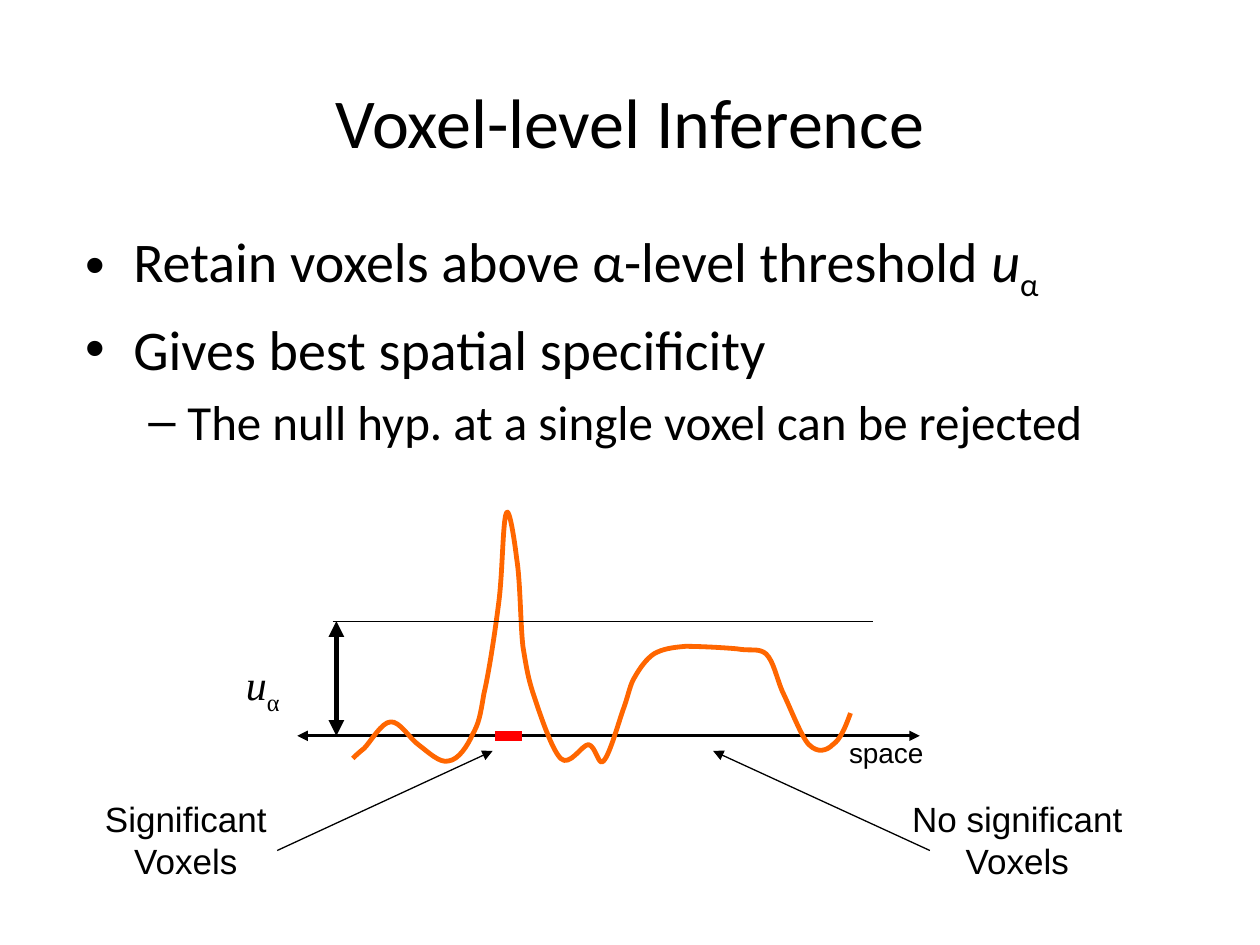
import pptx
import pptx.util
from pptx.dml.color import RGBColor
from pptx.enum.shapes import MSO_CONNECTOR
from pptx.enum.text import MSO_ANCHOR, PP_ALIGN
from pptx.oxml.ns import qn
from lxml import etree

SLIDE_WIDTH = pptx.util.Inches(10)
SLIDE_HEIGHT = pptx.util.Inches(7.5)
COLUMNS, ROWS = 100, 75

BLACK = RGBColor(0, 0, 0)
RED = RGBColor(0xFF, 0, 0)
ORANGE = RGBColor(0xFF, 0x66, 0)

AXIS_ROW = 58.4
THRESHOLD_ROW = 49.3

# Bezier chain: a start, then two handles and an end for each segment.
SIGNAL = [
    (28, 60.2),
    (28.2, 60), (28.4, 59.8), (28.9, 59.4),
    (29.4, 58.9), (30.3, 57.3), (31, 57.3),
    (31.7, 57.2), (32.5, 58.6), (33.2, 59.1),
    (34, 59.7), (34.9, 60.6), (35.6, 60.4),
    (36.4, 60.3), (37.1, 59.2), (37.5, 58.3),
    (38, 57.4), (38.1, 56.9), (38.4, 55.1),
    (38.8, 53.4), (39.3, 50.1), (39.6, 47.7),
    (39.9, 45.3), (39.9, 41.3), (40.2, 40.7),
    (40.4, 40.2), (40.8, 42.6), (41, 44.3),
    (41.3, 46.1), (41.3, 49.5), (41.5, 51.3),
    (41.8, 53.1), (41.9, 53.8), (42.4, 55.3),
    (42.9, 56.8), (43.8, 59.5), (44.5, 60.2),
    (45.2, 60.9), (46.2, 59.1), (46.7, 59.1),
    (47.3, 59.2), (47.5, 60.9), (47.9, 60.4),
    (48.4, 59.9), (49.1, 57.3), (49.5, 56.2),
    (49.9, 55.1), (50, 54.3), (50.4, 53.7),
    (50.8, 53), (51.3, 52.3), (51.9, 51.9),
    (52.6, 51.5), (53.3, 51.4), (54.4, 51.3),
    (55.5, 51.3), (57.4, 51.4), (58.5, 51.5),
    (59.6, 51.7), (60.2, 51.4), (60.8, 51.9),
    (61.4, 52.5), (61.6, 53.7), (62.1, 54.9),
    (62.7, 56.1), (63.6, 58.5), (64.2, 59.1),
    (64.9, 59.8), (65.6, 59.6), (66.1, 59.1),
    (66.7, 58.7), (67.1, 57.7), (67.5, 56.6),
]


def column(count):
    return round(SLIDE_WIDTH * count / COLUMNS)


def row(count):
    return round(SLIDE_HEIGHT * count / ROWS)


def add_text_frame(slide, left, top, width, height):
    box = slide.shapes.add_textbox(column(left), row(top), column(width), row(height))
    box.text_frame.word_wrap = True
    return box.text_frame


def write(paragraph, text, size, font_name, symbol="", subscript=""):
    """Write text, then an optional italic symbol with its subscript."""
    paragraph.font.size = pptx.util.Pt(size)
    paragraph.font.name = font_name
    paragraph.font.color.rgb = BLACK
    if text:
        paragraph.add_run().text = text
    if symbol:
        run = paragraph.add_run()
        run.text = symbol
        run.font.italic = True
    if subscript:
        run = paragraph.add_run()
        run.text = subscript
        run._r.get_or_add_rPr().set("baseline", "-25000")


def add_label(slide, box, text, size, font_name="Arial", align=PP_ALIGN.CENTER, **symbols):
    frame = add_text_frame(slide, *box)
    paragraph = frame.paragraphs[0]
    paragraph.alignment = align
    write(paragraph, text, size, font_name, **symbols)
    return frame


def add_bullet(paragraph, character, margin, hanging, text, size, **symbols):
    properties = paragraph._p.get_or_add_pPr()
    properties.set("marL", str(column(margin)))
    properties.set("indent", str(-column(hanging)))
    bullet_font = etree.SubElement(properties, qn("a:buFont"))
    bullet_font.set("typeface", "Arial")
    etree.SubElement(properties, qn("a:buChar")).set("char", character)
    paragraph.space_before = pptx.util.Pt(size * 0.2)
    write(paragraph, text, size, "Calibri", **symbols)


def add_line(slide, start, end, width, color=BLACK, ends=()):
    """Draw a line; ends names the arrowheads, headEnd at start and tailEnd at end."""
    line = slide.shapes.add_connector(
        MSO_CONNECTOR.STRAIGHT, column(start[0]), row(start[1]), column(end[0]), row(end[1]))
    line.line.color.rgb = color
    line.line.width = pptx.util.Pt(width)
    outline = line.line._get_or_add_ln()
    for end_name in ends:
        etree.SubElement(outline, qn(f"a:{end_name}")).set("type", "triangle")
    etree.SubElement(line._element.spPr, qn("a:effectLst"))


def add_curve(slide, points, width, color):
    start, *rest = [(column(x), row(y)) for x, y in points]
    builder = slide.shapes.build_freeform(*start)
    builder.add_line_segments(rest, close=False)
    curve = builder.convert_to_shape()
    curve.shadow.inherit = False
    curve.fill.background()
    curve.line.color.rgb = color
    curve.line.width = pptx.util.Pt(width)
    segments = list(curve._element.iter(qn("a:lnTo")))
    outline = segments[0].getparent()
    for first in range(0, len(segments), 3):
        bezier = etree.SubElement(outline, qn("a:cubicBezTo"))
        for segment in segments[first:first + 3]:
            bezier.append(segment[0])
            outline.remove(segment)


def add_body(slide):
    frame = add_text_frame(slide, 5.8, 17.5, 88.3, 45)
    add_bullet(frame.paragraphs[0], "•", 3.8, 3.8, "Retain voxels above α-level threshold ", 32,
               symbol="u", subscript="α")
    add_bullet(frame.add_paragraph(), "•", 3.8, 3.8, "Gives best spatial specificity", 32)
    detail = frame.add_paragraph()
    detail.level = 1
    add_bullet(detail, "–", 8.1, 3.1, "The null hyp. at a single voxel can be rejected", 28)


def add_diagram(slide):
    both_ends = ("headEnd", "tailEnd")
    add_label(slide, (3.6, 62.8, 22.3, 7.7), "Significant Voxels", 20)
    add_line(slide, (22, 67.5), (39.1, 59.6), 0.75, ends=("tailEnd",))
    add_line(slide, (23.6, AXIS_ROW), (73, AXIS_ROW), 1.75, ends=both_ends)
    add_curve(slide, SIGNAL, 2.75, ORANGE)
    add_label(slide, (66.4, 57.9, 13.6, 3.7), "space", 16, align=PP_ALIGN.LEFT)
    add_line(slide, (26.4, THRESHOLD_ROW), (69.3, THRESHOLD_ROW), 0.75)
    add_label(slide, (16.7, 51.8, 8.3, 5), "", 24, "Times New Roman", symbol="u", subscript="α")
    add_line(slide, (39.3, AXIS_ROW), (41.4, AXIS_ROW), 6, RED)
    add_label(slide, (69.6, 62.8, 22.3, 7.7), "No significant Voxels", 20)
    add_line(slide, (73.8, 67.5), (56.6, 59.6), 0.75, ends=("tailEnd",))
    add_line(slide, (26.7, AXIS_ROW), (26.7, THRESHOLD_ROW), 3, ends=both_ends)


def main():
    presentation = pptx.Presentation()
    presentation.slide_width = SLIDE_WIDTH
    presentation.slide_height = SLIDE_HEIGHT
    slide = presentation.slides.add_slide(presentation.slide_layouts[6])
    title = add_label(slide, (7.5, 3.3, 85, 12.5), "Voxel-level Inference", 40, "Calibri")
    title.vertical_anchor = MSO_ANCHOR.MIDDLE
    add_body(slide)
    add_diagram(slide)
    presentation.save("out.pptx")


if __name__ == "__main__":
    main()
